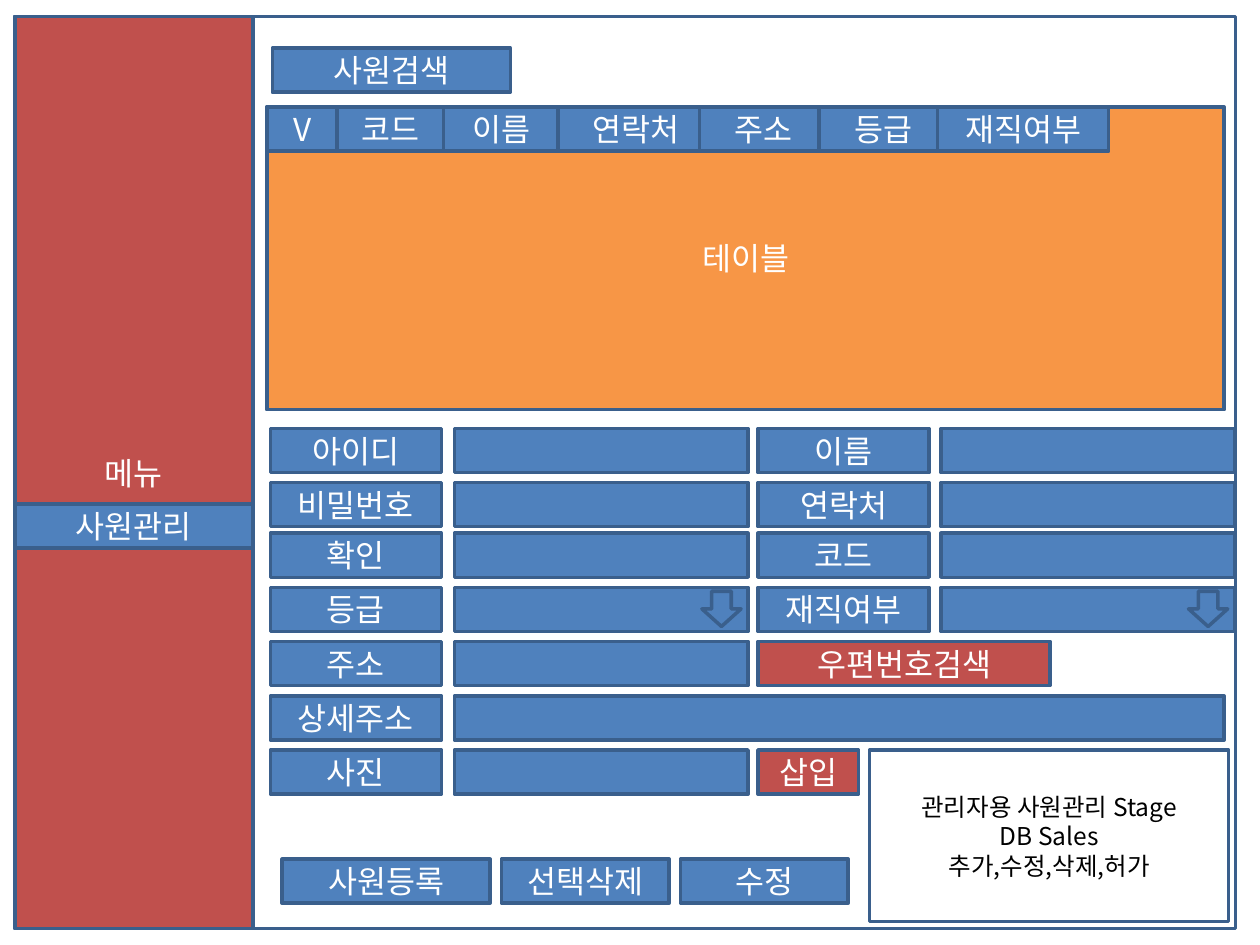
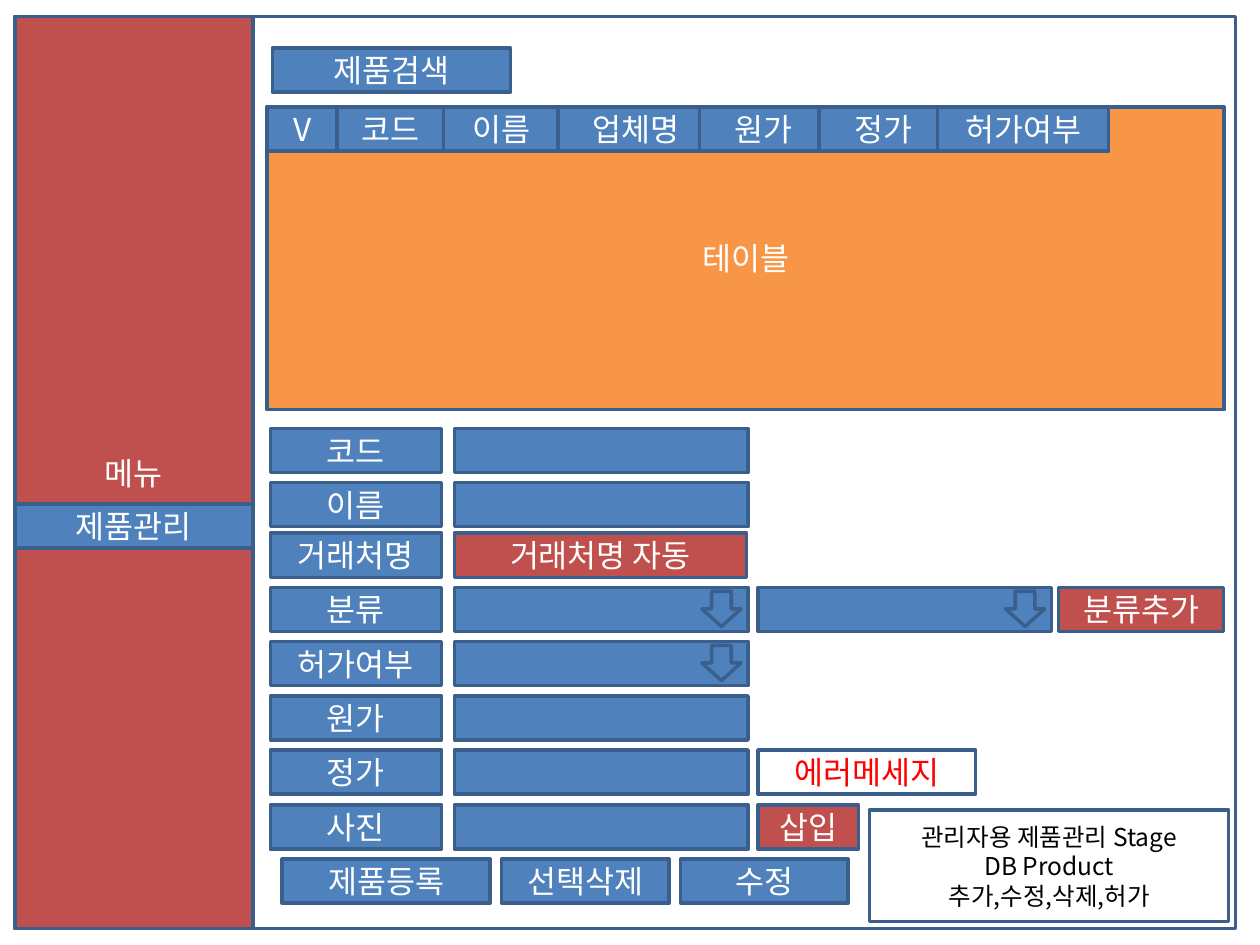
import pptx
import pptx.dml.color
import pptx.enum.shapes
import pptx.enum.text
import pptx.oxml.ns
import pptx.util
from lxml import etree

RGBColor = pptx.dml.color.RGBColor
Cm = pptx.util.Cm
SHAPES = pptx.enum.shapes.MSO_SHAPE

BLUE = RGBColor(0x4F, 0x81, 0xBD)
DARK_BLUE = RGBColor(0x3A, 0x5F, 0x8C)
RED = RGBColor(0xC0, 0x50, 0x4D)
ORANGE = RGBColor(0xF7, 0x96, 0x46)
WHITE = RGBColor(0xFF, 0xFF, 0xFF)
BLACK = RGBColor(0, 0, 0)
ERROR_RED = RGBColor(0xFF, 0, 0)
FONT = "Noto Sans CJK KR"

# All lengths are in centimetres.
BAR_HEIGHT = 0.89
FRAME_LEFT, FRAME_TOP, FRAME_WIDTH, FRAME_HEIGHT = 0.3, 0.33, 24.61, 18.39
MENU_WIDTH = 4.8
TABLE_LEFT, TABLE_TOP = 5.38, 2.16
ROW_TOPS = (8.64, 9.73, 10.75, 11.84, 12.93, 14.03, 15.12, 16.23)
LABEL_LEFT, FIELD_LEFT = 5.45, 9.16
RIGHT_LABEL_LEFT, RIGHT_FIELD_LEFT = 15.28, 18.97
LABEL_WIDTH, FIELD_WIDTH, WIDE_FIELD_WIDTH = 3.45, 5.92, 15.52
HEADER_COLUMNS = ((6.43, 2.87), (8.94, 2.36), (11.25, 3.15), (14.1, 2.59),
                  (16.51, 2.59), (18.9, 3.45), (5.38, 1.42))
ACTION_COLUMNS = ((5.69, 4.19), (10.11, 3.38), (13.72, 3.38))
NOTE_LEFT, NOTE_WIDTH, NOTE_BOTTOM = 17.53, 7.24, 18.58


def write_text(box, text, size=18, color=WHITE):
    """Write centred text into a box, one paragraph for each line."""
    frame = box.text_frame
    frame.word_wrap = True
    frame.vertical_anchor = pptx.enum.text.MSO_ANCHOR.MIDDLE
    for index, line in enumerate(text.split("\n")):
        para = frame.add_paragraph() if index else frame.paragraphs[0]
        para.alignment = pptx.enum.text.PP_ALIGN.CENTER
        span = para.add_run()
        span.text = line
        span.font.size = pptx.util.Pt(size)
        span.font.color.rgb = color
        span.font.name = FONT
        east_asian = etree.SubElement(span.font._element, pptx.oxml.ns.qn("a:ea"))
        east_asian.set("typeface", FONT)


def add_box(slide, left, top, width, height=BAR_HEIGHT, text="", fill=BLUE,
            kind=SHAPES.RECTANGLE, **text_format):
    """Add an outlined shape; a fill of None leaves it hollow."""
    box = slide.shapes.add_shape(kind, Cm(left), Cm(top), Cm(width), Cm(height))
    box.shadow.inherit = False
    if fill is None:
        box.fill.background()
    else:
        box.fill.solid()
        box.fill.fore_color.rgb = fill
    box.line.color.rgb = DARK_BLUE
    box.line.width = pptx.util.Pt(2)
    if text:
        write_text(box, text, **text_format)
    return box


def add_dropdown(slide, left, row):
    """Add an input field with a down arrow at its right end."""
    top = ROW_TOPS[row]
    add_box(slide, left, top, FIELD_WIDTH)
    add_box(slide, left + 4.99, top + 0.08, 0.79, 0.71, kind=SHAPES.DOWN_ARROW)


def add_labels(slide, left, labels):
    """Stack form labels from the first row down."""
    for top, label in zip(ROW_TOPS, labels):
        add_box(slide, left, top, LABEL_WIDTH, text=label)


def add_fields(slide, left, rows):
    """Add plain input fields in the given rows."""
    for row in rows:
        add_box(slide, left, ROW_TOPS[row], FIELD_WIDTH)


def add_red_button(slide, left, row, width, text):
    """Add a red button in a form row."""
    add_box(slide, left, ROW_TOPS[row], width, text=text, fill=RED)


def add_screen(deck, subject, headers):
    """Add a slide with the frame, menu, list and actions of every screen."""
    slide = deck.slides.add_slide(deck.slide_layouts[6])
    add_box(slide, FRAME_LEFT, FRAME_TOP, FRAME_WIDTH, FRAME_HEIGHT, fill=None)
    add_box(slide, 5.49, 0.97, 4.8, text=subject + "검색")
    add_box(slide, TABLE_LEFT, TABLE_TOP, 19.3, 6.1, text="테이블", fill=ORANGE)
    add_box(slide, FRAME_LEFT, FRAME_TOP, MENU_WIDTH, FRAME_HEIGHT,
            text="메뉴", fill=RED)
    add_box(slide, FRAME_LEFT, 10.16, MENU_WIDTH, text=subject + "관리")
    for (left, width), text in zip(HEADER_COLUMNS, (*headers, "V")):
        add_box(slide, left, TABLE_TOP, width, text=text)
    actions = (subject + "등록", "선택삭제", "수정")
    for (left, width), text in zip(ACTION_COLUMNS, actions):
        add_box(slide, left, 17.32, width, text=text)
    return slide


def add_note(slide, top, subject, database):
    """Add the box that says what the screen is for."""
    text = f"관리자용 {subject}관리 Stage\nDB {database}\n추가,수정,삭제,허가"
    add_box(slide, NOTE_LEFT, top, NOTE_WIDTH, NOTE_BOTTOM - top, text=text,
            fill=None, size=14, color=BLACK)


def add_staff_screen(deck):
    """Build the staff management screen."""
    slide = add_screen(deck, "사원", ("코드", "이름", "연락처", "주소", "등급", "재직여부"))
    add_labels(slide, LABEL_LEFT,
               ("아이디", "비밀번호", "확인", "등급", "주소", "상세주소", "사진"))
    add_fields(slide, FIELD_LEFT, (0, 1, 2, 4, 6))
    add_dropdown(slide, FIELD_LEFT, 3)
    add_box(slide, FIELD_LEFT, ROW_TOPS[5], WIDE_FIELD_WIDTH)
    add_labels(slide, RIGHT_LABEL_LEFT, ("이름", "연락처", "코드", "재직여부"))
    add_fields(slide, RIGHT_FIELD_LEFT, (0, 1, 2))
    add_dropdown(slide, RIGHT_FIELD_LEFT, 3)
    add_red_button(slide, RIGHT_LABEL_LEFT, 4, 5.89, "우편번호검색")
    add_red_button(slide, RIGHT_LABEL_LEFT, 6, 2.03, "삽입")
    add_note(slide, 15.12, "사원", "Sales")


def add_product_screen(deck):
    """Build the product management screen."""
    slide = add_screen(deck, "제품", ("코드", "이름", "업체명", "원가", "정가", "허가여부"))
    add_labels(slide, LABEL_LEFT, ("코드", "이름", "거래처명", "분류", "허가여부",
                                   "원가", "정가", "사진"))
    add_fields(slide, FIELD_LEFT, (0, 1, 5, 6, 7))
    add_red_button(slide, FIELD_LEFT, 2, 5.89, "거래처명 자동")
    add_dropdown(slide, FIELD_LEFT, 3)
    add_dropdown(slide, RIGHT_LABEL_LEFT, 3)
    add_red_button(slide, 21.34, 3, 3.33, "분류추가")
    add_dropdown(slide, FIELD_LEFT, 4)
    add_box(slide, RIGHT_LABEL_LEFT, ROW_TOPS[6], 4.39, text="에러메세지",
            fill=None, color=ERROR_RED)
    add_red_button(slide, RIGHT_LABEL_LEFT, 7, 2.03, "삽입")
    add_note(slide, 16.33, "제품", "Product")


def main():
    """Build and save the deck."""
    deck = pptx.Presentation()
    deck.slide_width, deck.slide_height = Cm(25.4), Cm(19.05)
    add_staff_screen(deck)
    add_product_screen(deck)
    deck.save("out.pptx")


main()
